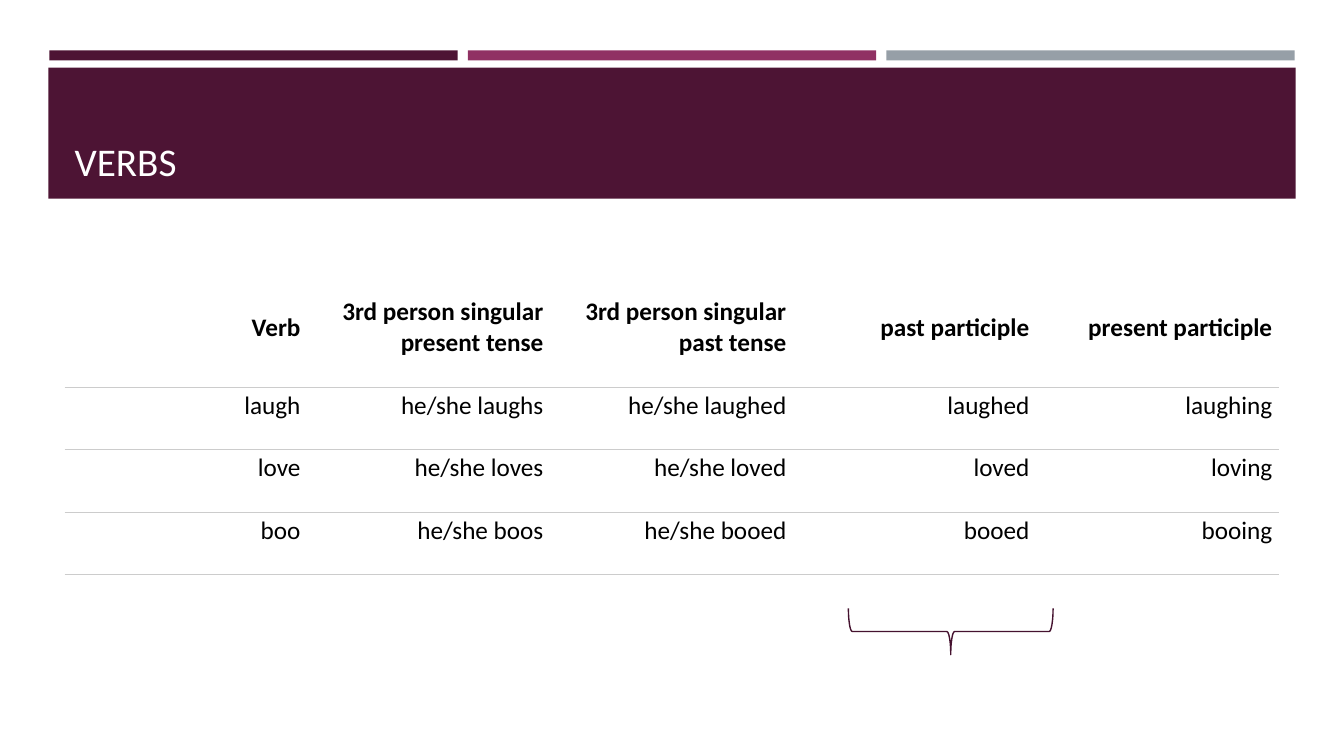
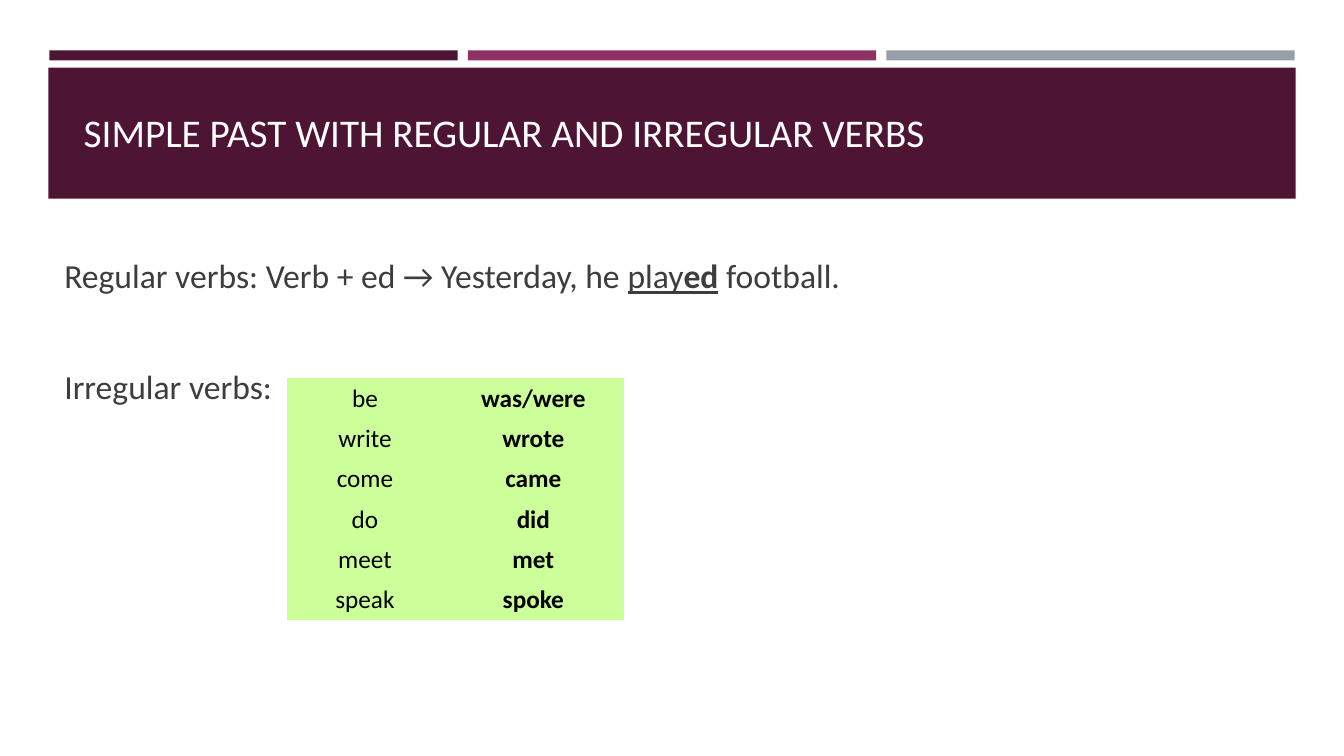
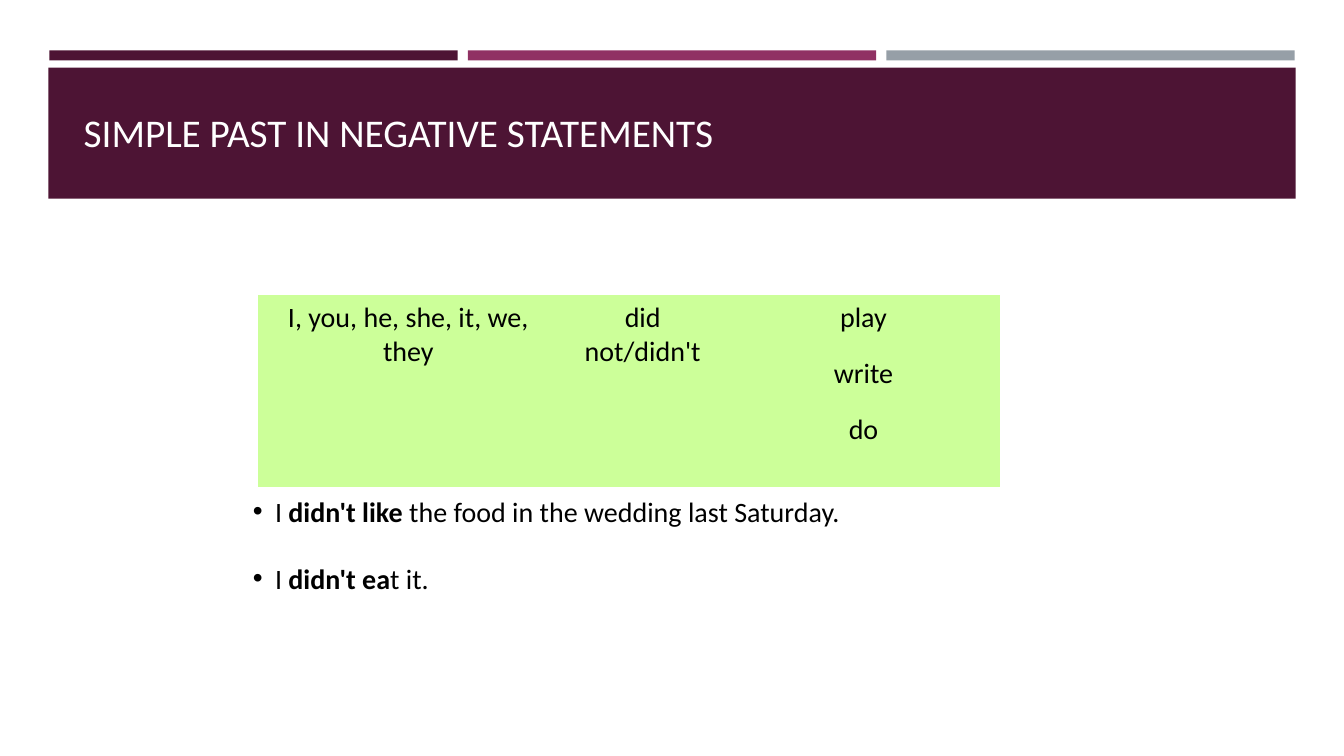
"""Builds three slides about English verbs and the simple past."""
from dataclasses import dataclass

from lxml import etree
from pptx import Presentation
from pptx.dml.color import RGBColor
from pptx.enum.shapes import MSO_SHAPE
from pptx.enum.text import MSO_ANCHOR, PP_ALIGN
from pptx.oxml.ns import qn
from pptx.util import Inches, Pt

RECTANGLE, LEFT_BRACE = MSO_SHAPE.RECTANGLE, MSO_SHAPE.LEFT_BRACE
LEFT, CENTER, RIGHT = PP_ALIGN.LEFT, PP_ALIGN.CENTER, PP_ALIGN.RIGHT
TOP, MIDDLE, BOTTOM = MSO_ANCHOR.TOP, MSO_ANCHOR.MIDDLE, MSO_ANCHOR.BOTTOM
NO_STYLE = "{2D5ABB26-0587-4C30-8999-92F81FD0307C}"


@dataclass(frozen=True)
class Theme:
    font: str = "Calibri"
    plum: str = "4D1434"
    berry: str = "903163"
    steel: str = "969FA7"
    brace: str = "45122F"
    white: str = "FFFFFF"
    black: str = "000000"
    body: str = "3D3D3D"
    lime: str = "CCFF99"
    rule: str = "CCCCCC"
    title_size: int = 28
    body_size: int = 24
    example_size: int = 20
    table_size: int = 18


THEME = Theme()

VERB_FORMS = [
    ["Verb", "3rd person singular\vpresent tense", "3rd person singular\vpast tense",
     "past participle", "present participle"],
    ["laugh", "he/she laughs", "he/she laughed", "laughed", "laughing"],
    ["love", "he/she loves", "he/she loved", "loved", "loving"],
    ["boo", "he/she boos", "he/she booed", "booed", "booing"],
]
RULES = [
    [("Regular verbs: Verb + ed → Yesterday, he ", ""), ("play", "u"), ("ed", "bu"),
     (" football.", "")],
    [("Irregular verbs:", "")],
]
IRREGULAR_VERBS = [
    ["be", "was/were"], ["write", "wrote"], ["come", "came"],
    ["do", "did"], ["meet", "met"], ["speak", "spoke"],
]
NEGATIVE_PATTERN = [
    ["I, you, he, she, it, we, they", "did not/didn't", "play"],
    ["", "", "write"],
    ["", "", "do"],
]
NEGATIVE_EXAMPLES = [
    [("I ", ""), ("didn't like ", "b"), ("the food in the wedding last Saturday.", "")],
    [("I ", ""), ("didn't ea", "b"), ("t it.", "")],
]


def rgb(color):
    return RGBColor.from_string(color)


def add_runs(paragraph, runs, size, color):
    for text, style in runs:
        for number, line in enumerate(text.split("\v")):
            if number:
                paragraph.add_line_break()
            run = paragraph.add_run()
            run.text = line
            font = run.font
            font.name, font.size, font.color.rgb = THEME.font, Pt(size), rgb(color)
            font.bold, font.underline = "b" in style, "u" in style


def add_bands(slide, layout):
    strips = [(0.49 + 4.15 * i, 0.5, 4.05, 0.1, color)
              for i, color in enumerate((THEME.plum, THEME.berry, THEME.steel))]
    for i, (*box, color) in enumerate(strips + [(0.48, 0.67, 12.37, 1.3, THEME.plum)]):
        band = slide.shapes.add_shape(RECTANGLE, *map(Inches, box))
        band.shadow.inherit = False
        band.fill.solid()
        band.fill.fore_color.rgb = rgb(color)
        band.line.fill.background()
        band.element.xpath(".//p:cNvPr")[0].set("id", str(20 + i))
        layout.shapes.element.insert(2 + i, band.element)


def set_title(slide, text, top=0.95, left_margin=0.19, bottom_margin=0.52):
    title = slide.shapes.title
    title.left, title.top, title.width, title.height = map(Inches, (0.64, top, 12.06, 1.11))
    frame = title.text_frame
    frame.vertical_anchor = BOTTOM
    frame.margin_left, frame.margin_bottom = Inches(left_margin), Inches(bottom_margin)
    frame.paragraphs[0].alignment = LEFT
    add_runs(frame.paragraphs[0], [(text, "")], THEME.title_size, THEME.white)


def add_grid(slide, left, top, widths, heights, rows, fill, size, align=CENTER,
             bold=lambda row, column: False, margins=(0.1, 0.05, 0.1, 0.05),
             anchor=TOP, rule=None):
    graphic = slide.shapes.add_table(len(heights), len(widths), Inches(left), Inches(top),
                                     Inches(sum(widths)), Inches(sum(heights)))
    graphic.element.find(".//" + qn("a:tableStyleId")).text = NO_STYLE
    table = graphic.table
    table.first_row = table.horz_banding = False
    for column, width in zip(table.columns, widths):
        column.width = Inches(width)
    for r, texts in enumerate(rows):
        table.rows[r].height = Inches(heights[r])
        for c, text in enumerate(texts):
            cell = table.cell(r, c)
            cell.fill.solid()
            cell.fill.fore_color.rgb = rgb(fill)
            cell.vertical_anchor = anchor
            (cell.margin_left, cell.margin_top,
             cell.margin_right, cell.margin_bottom) = map(Inches, margins)
            if rule:
                add_bottom_rule(cell, rule)
            if text:
                paragraph = cell.text_frame.paragraphs[0]
                paragraph.alignment = align
                add_runs(paragraph, [(text, "b" if bold(r, c) else "")], size, THEME.black)
    return table


def add_bottom_rule(cell, color):
    line = etree.Element(qn("a:lnB"), w=str(Pt(0.5)))
    fill = etree.SubElement(line, qn("a:solidFill"))
    etree.SubElement(fill, qn("a:srgbClr"), val=color)
    cell._tc.get_or_add_tcPr().insert(0, line)


def add_text(slide, box, paragraphs, size, color, anchor=TOP, gap=0, spacing=None, bullet=False):
    frame = slide.shapes.add_textbox(*map(Inches, box)).text_frame
    frame.word_wrap = True
    frame.vertical_anchor = anchor
    for i, runs in enumerate(paragraphs):
        paragraph = frame.add_paragraph() if i else frame.paragraphs[0]
        if i and gap:
            paragraph.space_before = Pt(gap)
        if spacing:
            paragraph.line_spacing = spacing
        if bullet:
            properties = paragraph._p.get_or_add_pPr()
            properties.set("marL", str(Inches(0.22)))
            properties.set("indent", str(-Inches(0.22)))
            etree.SubElement(properties, qn("a:buFont"), typeface="Arial")
            etree.SubElement(properties, qn("a:buChar"), char="•")
        add_runs(paragraph, runs, size, color)


def build_verb_forms(slide):
    set_title(slide, "VERBS", top=0.77, left_margin=0.1, bottom_margin=0.05)
    add_grid(slide, 0.64, 2.91, [2.41] * 5, [0.93] + [0.62] * 3, VERB_FORMS, THEME.white,
             THEME.table_size, RIGHT, lambda row, column: row == 0,
             (0.07, 0.03, 0.07, 0.28), MIDDLE, THEME.rule)
    brace = slide.shapes.add_shape(LEFT_BRACE, *map(Inches, (9.2, 5.25, 0.46, 2.03)))
    brace.rotation = 270
    brace.shadow.inherit = False
    brace.fill.background()
    brace.line.color.rgb = rgb(THEME.brace)
    brace.line.width = Pt(1)


def build_simple_past(slide):
    set_title(slide, "SIMPLE PAST WITH REGULAR AND IRREGULAR VERBS")
    add_text(slide, (0.54, 2.26, 12.06, 2.04), RULES, THEME.body_size, THEME.body, MIDDLE, gap=50)
    add_grid(slide, 2.85, 3.75, [1.54, 1.8], [0.4] * 6, IRREGULAR_VERBS, THEME.lime,
             THEME.table_size, bold=lambda row, column: column == 1)


def build_negatives(slide):
    set_title(slide, "SIMPLE PAST IN NEGATIVE STATEMENTS")
    pattern = add_grid(slide, 2.56, 2.93, [2.98, 1.67, 2.71], [0.56, 0.56, 0.77],
                       NEGATIVE_PATTERN, THEME.lime, THEME.example_size)
    for column in (0, 1):
        pattern.cell(0, column).merge(pattern.cell(2, column))
    add_text(slide, (2.41, 4.52, 6.67, 1.34), NEGATIVE_EXAMPLES, THEME.example_size,
             THEME.black, spacing=2.0, bullet=True)


def main():
    deck = Presentation()
    deck.slide_width, deck.slide_height = Inches(13.33), Inches(7.5)
    layout = deck.slide_layouts[5]
    for number, build in enumerate((build_verb_forms, build_simple_past, build_negatives)):
        slide = deck.slides.add_slide(layout)
        if number == 0:
            add_bands(slide, layout)
        build(slide)
    deck.save("out.pptx")


if __name__ == "__main__":
    main()
